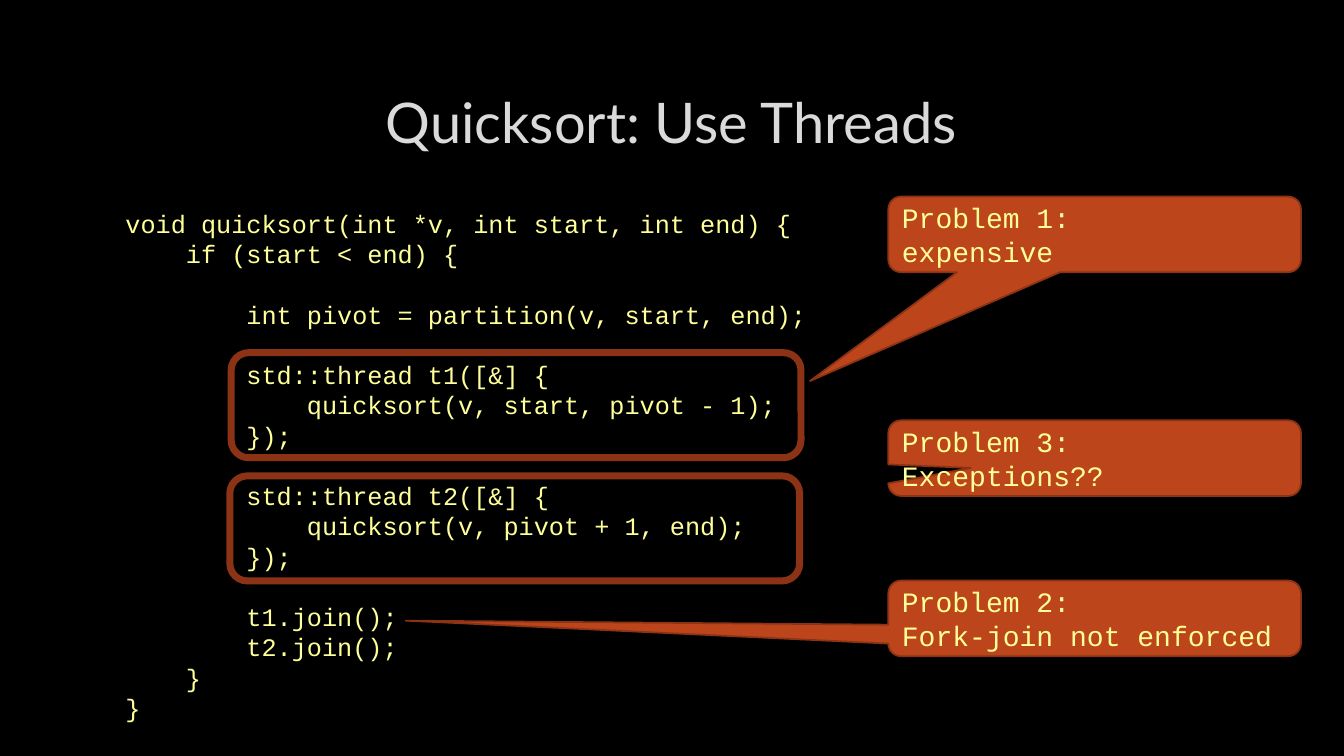
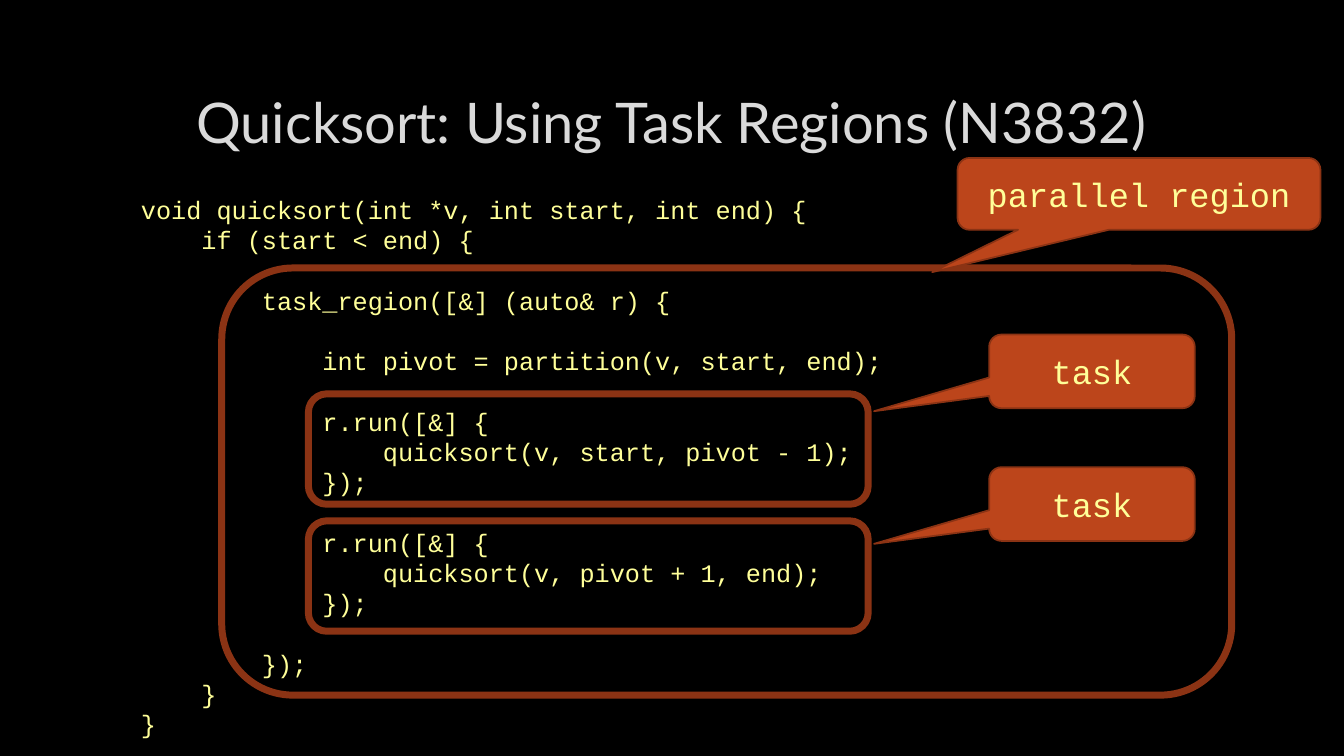
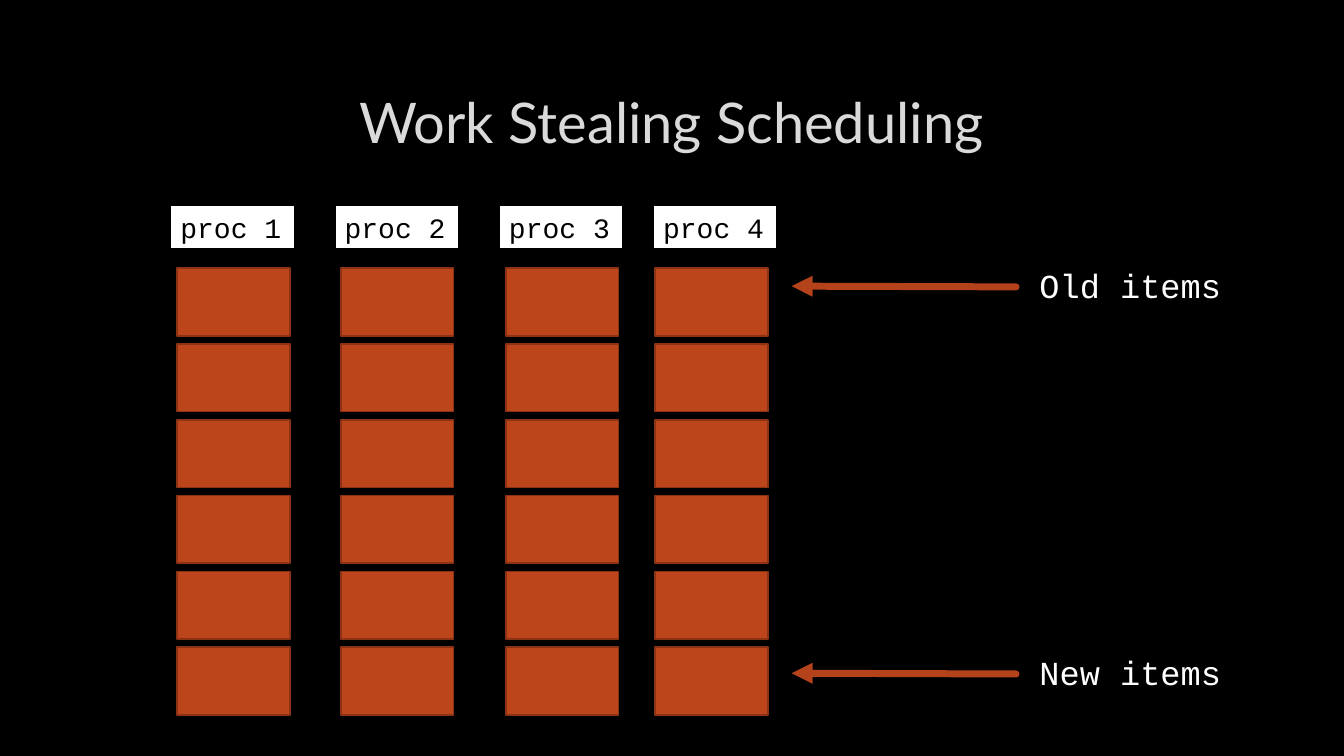
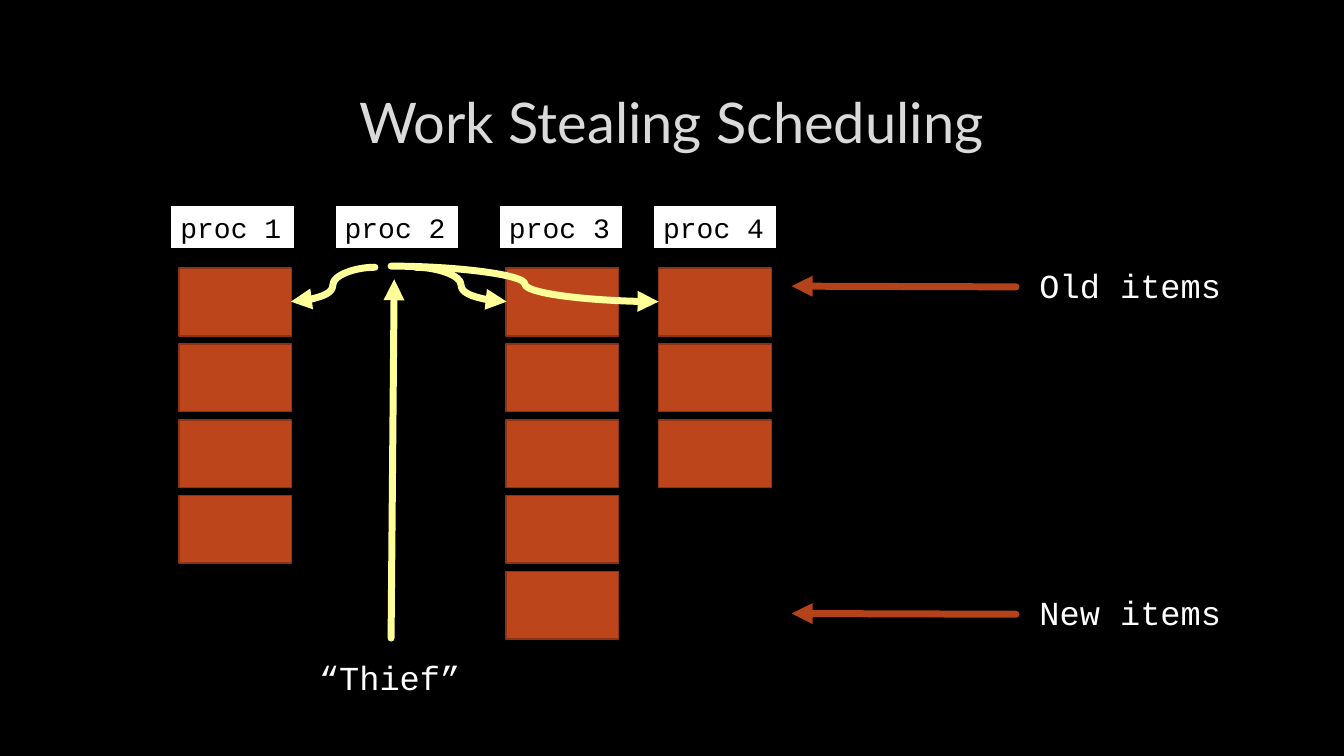
from dataclasses import dataclass
from itertools import accumulate

from lxml import etree
from pptx import Presentation
from pptx.dml.color import RGBColor
from pptx.enum.shapes import MSO_CONNECTOR, MSO_SHAPE
from pptx.enum.text import MSO_ANCHOR, MSO_AUTO_SIZE, PP_ALIGN
from pptx.oxml.ns import qn
from pptx.util import Inches, Pt

RECT, ROUND = MSO_SHAPE.RECTANGLE, MSO_SHAPE.ROUNDED_RECTANGLE
CALLOUT = MSO_SHAPE.ROUNDED_RECTANGULAR_CALLOUT
STRAIGHT, CURVE = MSO_CONNECTOR.STRAIGHT, MSO_CONNECTOR.CURVE
LEFT, CENTER = PP_ALIGN.LEFT, PP_ALIGN.CENTER
TOP, MIDDLE = MSO_ANCHOR.TOP, MSO_ANCHOR.MIDDLE
GROW = MSO_AUTO_SIZE.SHAPE_TO_FIT_TEXT


@dataclass(frozen=True)
class Theme:
    black: RGBColor = RGBColor.from_string("000000")
    white: RGBColor = RGBColor.from_string("FFFFFF")
    title: RGBColor = RGBColor.from_string("DADADA")
    code: RGBColor = RGBColor.from_string("FFFF99")
    rust: RGBColor = RGBColor.from_string("BC451B")
    edge: RGBColor = RGBColor.from_string("8B3314")
    arrow: RGBColor = RGBColor.from_string("B4421A")
    head_font: str = "Lato"
    code_font: str = "Courier New"
    head_size: int = 40
    large: int = 24
    medium: int = 20
    small: int = 18
    thin: float = 1.25
    thick: float = 5
    blank_line: float = 1.2


T = Theme()
prs = Presentation()
prs.slide_width, prs.slide_height = Inches(13.33), Inches(7.5)
COL, ROW = prs.slide_width / 100, prs.slide_height / 100
background = prs.slide_master.background.fill
background.solid()
background.fore_color.rgb = T.black


def put(s, kind, at, text="", size=T.large, color=T.code, font=T.code_font,
        align=LEFT, anchor=TOP, fill=None, line=T.edge, width=T.thin):
    x, y, w, h = at
    frame = int(x * COL), int(y * ROW), int(w * COL), int(h * ROW)
    if kind is None:
        sp = s.shapes.add_textbox(*frame)
    else:
        sp = s.shapes.add_shape(kind, *frame)
        sp.shadow.inherit = False
        sp.line.color.rgb = line
        sp.line.width = Pt(width)
        if fill is None:
            sp.fill.background()
        else:
            sp.fill.solid()
            sp.fill.fore_color.rgb = fill
    if text:
        tf = sp.text_frame
        tf.word_wrap = True
        tf.vertical_anchor = anchor
        if anchor == TOP:
            tf.auto_size = GROW
        blocks = text.split("\n\n")
        tf.text = "\n".join(blocks)
        starts = list(accumulate(len(b.split("\n")) for b in blocks))
        for i, p in enumerate(tf.paragraphs):
            p.alignment = align
            if i in starts:
                p.space_before = Pt(size * T.blank_line)
            for r in p.runs:
                r.font.name, r.font.size = font, Pt(size)
                r.font.color.rgb = color
    return sp


def arrow(s, kind, start, end, color):
    (x1, y1), (x2, y2) = start, end
    cn = s.shapes.add_connector(kind, int(x1 * COL), int(y1 * ROW), int(x2 * COL), int(y2 * ROW))
    cn.line.color.rgb = color
    cn.line.width = Pt(T.thick)
    spPr = cn._element.spPr
    ln = spPr.find(qn("a:ln"))
    ln.set("cap", "rnd")
    etree.SubElement(ln, qn("a:round"))
    etree.SubElement(ln, qn("a:tailEnd"), type="triangle")
    etree.SubElement(spPr, qn("a:effectLst"))


THREADS = """void quicksort(int *v, int start, int end) {
    if (start < end) {

        int pivot = partition(v, start, end);

        std::thread t1([&] {
            quicksort(v, start, pivot - 1);
        });

        std::thread t2([&] {
            quicksort(v, pivot + 1, end);
        });

        t1.join();
        t2.join();
    }
}"""

REGIONS = """void quicksort(int *v, int start, int end) {
    if (start < end) {

        task_region([&] (auto& r) {

            int pivot = partition(v, start, end);

            r.run([&] {
                quicksort(v, start, pivot - 1);
            });

            r.run([&] {
                quicksort(v, pivot + 1, end);
            });

        });
    }
}"""

PROBLEM_X, PROBLEM_W, PROBLEM_H = 66.1, 30.7, 10
TASK_X, TASK_W, TASK_H = 73.6, 15.3, 9.75

code_slides = [
    ("Quicksort: Use Threads", THREADS, (8.6, 26.9, 67.5, 70),
     [(17.1, 62.95, 42.4, 13.9), (17.2, 46.65, 42.4, 13.9)],
     T.medium, LEFT,
     [("Problem 1:\nexpensive", (PROBLEM_X, 26, PROBLEM_W, PROBLEM_H), (-0.69, 1.94)),
      ("Problem 2:\nFork-join not enforced", (PROBLEM_X, 76.8, PROBLEM_W, PROBLEM_H), (-1.67, 0.03)),
      ("Problem 3:\nExceptions??", (PROBLEM_X, 55.6, PROBLEM_W, PROBLEM_H), (-0.3, 0.13))]),
    ("Quicksort: Using Task Regions (N3832)", REGIONS, (9.75, 25.05, 67.5, 74),
     [(22.95, 52.1, 41.65, 14.6), (22.95, 68.9, 41.65, 14.6), (16.5, 35.45, 75.15, 56.5)],
     T.large, CENTER,
     [("task", (TASK_X, 44.25, TASK_W, TASK_H), (-1.06, 0.54)),
      ("task", (TASK_X, 61.8, TASK_W, TASK_H), (-1.06, 0.54)),
      ("parallel region", (71.25, 20.9, 27, 9.5), (-0.57, 1.09))]),
]

LABEL_X = [12.68, 24.9, 37.13, 48.6]
STACK_Y, STACK_PITCH = 35.47, 10.03
ITEM_W, ITEM_H = 8.4, 8.95

stack_slides = [
    ([13.17, 25.35, 37.63, 48.75], [6, 6, 6, 6], 85.6),
    ([13.3, 25.35, 37.63, 49], [4, 0, 5, 3], 77.7),
]

titles = [c[0] for c in code_slides] + ["Work Stealing Scheduling"] * len(stack_slides)
slides = []
for title in titles:
    s = prs.slides.add_slide(prs.slide_layouts[6])
    put(s, None, (7.5, 8.93, 84.9, 14.13), title, T.head_size, T.title, T.head_font, CENTER, MIDDLE)
    slides.append(s)

for s, (title, code, at, frames, size, align, callouts) in zip(slides, code_slides):
    put(s, None, at, code, T.small)
    for frame in frames:
        put(s, ROUND, frame, width=T.thick)
    for text, place, tip in callouts:
        sp = put(s, CALLOUT, place, text, size, align=align, anchor=MIDDLE, fill=T.rust)
        sp.adjustments[0], sp.adjustments[1] = tip

for s, (stack_x, counts, new_y) in zip(slides[len(code_slides):], stack_slides):
    for i, (x, count) in enumerate(zip(stack_x, counts)):
        put(s, RECT, (LABEL_X[i], 27.15, 9.23, 5.83), f"proc {i + 1}", T.medium, T.black,
            fill=T.white, line=T.black)
        for row in range(count):
            put(s, RECT, (x, STACK_Y + row * STACK_PITCH, ITEM_W, ITEM_H), fill=T.rust)
    for text, y in [("Old items", 34.4), ("New items", new_y)]:
        put(s, None, (76.6, y, 17.9, 6.7), text, color=T.white)
        arrow(s, STRAIGHT, (75.6, y + 3.55), (58.9, y + 3.45), T.arrow)

s = slides[-1]
put(s, None, (23, 86.3, 12.2, 6.7), "“Thief”", color=T.white)
for kind, start, end in [
    (STRAIGHT, (29.1, 84.4), (29.33, 36.95)),
    (CURVE, (27.9, 35.35), (21.65, 39.9)),
    (CURVE, (30.9, 35.35), (37.7, 39.9)),
    (CURVE, (29.1, 35.2), (49, 39.9)),
]:
    arrow(s, kind, start, end, T.code)

prs.save("out.pptx")
